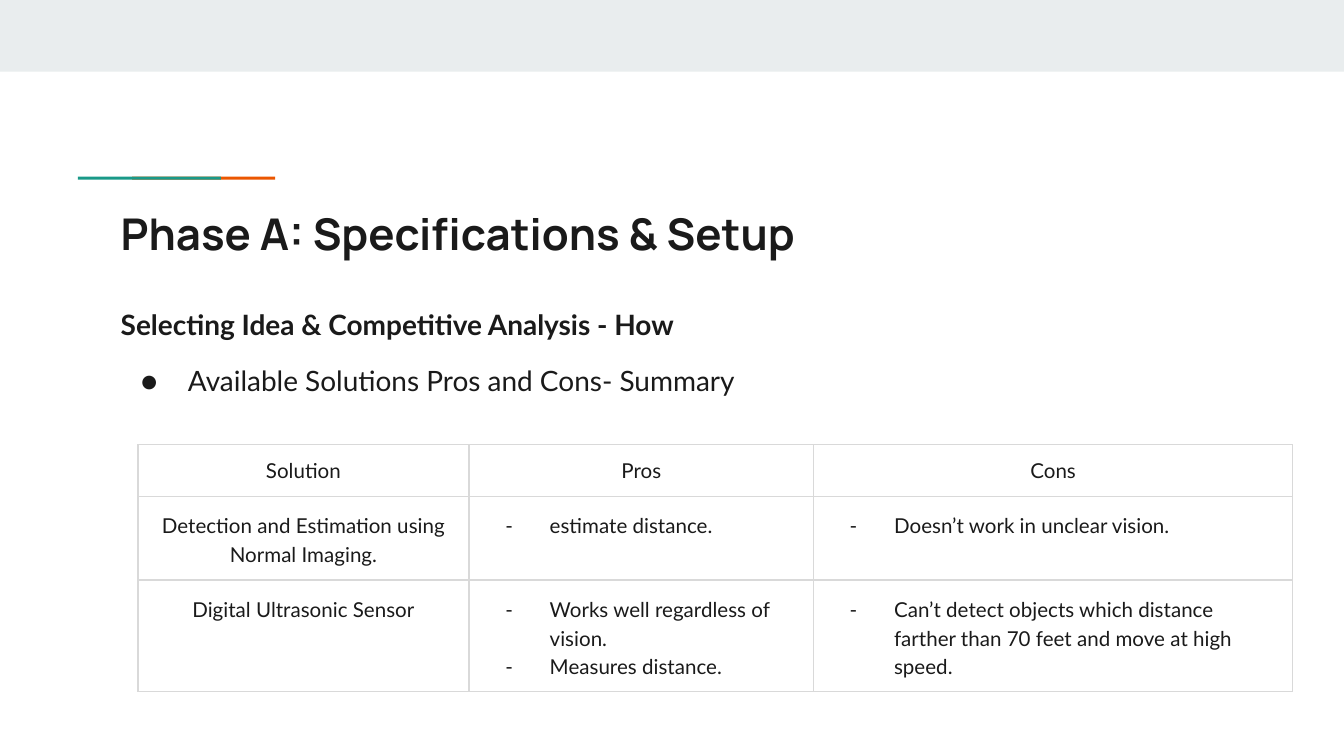
from dataclasses import dataclass
from typing import Any

from lxml import etree
from pptx import Presentation
from pptx import util as u
from pptx.dml.color import RGBColor
from pptx.enum import shapes, text
from pptx.oxml import ns

INK = RGBColor(0x1A, 0x1A, 0x1A)
BAND = RGBColor(0xE9, 0xED, 0xEE)
TEAL = RGBColor(0x1A, 0x99, 0x88)
ORANGE = RGBColor(0xEB, 0x56, 0x00)
BORDER = RGBColor(0xD9, 0xD9, 0xD9)
HEADING_FONT = "Manrope"
BODY_FONT = "Lato"


@dataclass(frozen=True)
class Box:
    left: float
    top: float
    width: float
    height: float

    def lengths(self) -> tuple[u.Length, ...]:
        return tuple(u.Pt(value) for value in (self.left, self.top, self.width, self.height))


@dataclass(frozen=True)
class Bar:
    box: Box
    color: RGBColor
    rotation: float = 0


@dataclass(frozen=True)
class Line:
    words: str
    size: float
    font: str = BODY_FONT
    bold: bool = False
    bullet: str = ""
    hanging: float = 0
    space_before: float = 0
    spacing: float = 1.0
    centered: bool = False


BARS = (
    Bar(Box(0, 0, 720, 38.5), BAND),
    Bar(Box(108.3, 57.1, 1.6, 76.6), ORANGE, 270),
    Bar(Box(79.3, 57.1, 1.6, 76.6), TEAL, 270),
)
TITLE_BOX = Box(57.6, 103.7, 605.5, 42.5)
BODY_BOX = Box(57.6, 157.7, 605.5, 236.9)
TITLE = (Line("Phase A: Specifications & Setup", 23.4, HEADING_FONT, bold=True),)
BODY = (
    Line("Selecting Idea & Competitive Analysis - How", 15, bold=True),
    Line("Available Solutions Pros and Cons- Summary", 15, bullet="●", hanging=25.2, space_before=12),
)
COLUMN_WIDTHS = (177.4, 184.5, 256.8)
ROW_HEIGHTS = (27.6, 43.2, 58.3)
HEADERS = ("Solution", "Pros", "Cons")
SOLUTIONS = (
    ("Detection and Estimation using Normal Imaging.",
     ("estimate distance.",),
     ("Doesn’t work in unclear vision.",)),
    ("Digital Ultrasonic Sensor",
     ("Works well regardless of vision.", "Measures distance."),
     ("Can’t detect objects which distance farther than 70 feet and move at high speed.",)),
)


def add_color(parent: Any, color: RGBColor) -> None:
    """Append an RGB colour element."""
    etree.SubElement(parent, ns.qn("a:srgbClr"), val=str(color))


def add_bullet(paragraph: Any, line: Line) -> None:
    """Give a paragraph a hanging bullet."""
    properties = paragraph._p.get_or_add_pPr()
    properties.set("marL", str(u.Pt(36)))
    properties.set("indent", str(-u.Pt(line.hanging)))
    add_color(etree.SubElement(properties, ns.qn("a:buClr")), INK)
    etree.SubElement(properties, ns.qn("a:buFont"), typeface=line.font)
    etree.SubElement(properties, ns.qn("a:buChar"), char=line.bullet)


def write_lines(frame: Any, lines: tuple[Line, ...]) -> None:
    """Fill a text frame with formatted paragraphs."""
    frame.text = "\n".join(line.words for line in lines)
    for paragraph, line in zip(frame.paragraphs, lines):
        if line.bullet:
            add_bullet(paragraph, line)
        paragraph.alignment = text.PP_ALIGN.CENTER if line.centered else text.PP_ALIGN.LEFT
        paragraph.line_spacing = line.spacing
        paragraph.space_before = u.Pt(line.space_before)
        for run in paragraph.runs:
            run.font.name = line.font
            run.font.size = u.Pt(line.size)
            run.font.bold = line.bold
            run.font.color.rgb = INK


def add_bar(slide: Any, bar: Bar) -> None:
    """Draw a plain filled rectangle."""
    shape = slide.shapes.add_shape(shapes.MSO_SHAPE.RECTANGLE, *bar.box.lengths())
    shape.rotation = bar.rotation
    shape.shadow.inherit = False
    shape.fill.solid()
    shape.fill.fore_color.rgb = bar.color
    shape.line.fill.background()


def set_margins(holder: Any) -> None:
    """Set equal inner margins on a cell or text frame."""
    for side in ("left", "top", "right", "bottom"):
        setattr(holder, f"margin_{side}", u.Pt(7.2))


def add_text(slide: Any, box: Box, lines: tuple[Line, ...]) -> None:
    """Draw a wrapping text box."""
    frame = slide.shapes.add_textbox(*box.lengths()).text_frame
    frame.word_wrap = True
    set_margins(frame)
    write_lines(frame, lines)


def format_cell(cell: Any, lines: tuple[Line, ...]) -> None:
    """Write a table cell with thin borders and no fill."""
    set_margins(cell)
    write_lines(cell.text_frame, lines)
    properties = cell._tc.get_or_add_tcPr()
    for side in ("L", "R", "T", "B"):
        border = etree.SubElement(properties, ns.qn(f"a:ln{side}"), w=str(u.Pt(0.75)))
        add_color(etree.SubElement(border, ns.qn("a:solidFill")), BORDER)
    cell.fill.background()


def table_rows() -> list[tuple[tuple[Line, ...], ...]]:
    """Return the header and solution rows as formatted lines."""
    rows = [tuple((Line(header, 11, centered=True),) for header in HEADERS)]
    for solution, *points in SOLUTIONS:
        name = (Line(solution, 11, spacing=1.15, centered=True),)
        lists = [tuple(Line(point, 11, bullet="-", hanging=23.8, spacing=1.15) for point in group)
                 for group in points]
        rows.append((name, *lists))
    return rows


def add_comparison(slide: Any) -> None:
    """Draw the table of solutions."""
    box = Box(73.9, 238.3, sum(COLUMN_WIDTHS), sum(ROW_HEIGHTS))
    table = slide.shapes.add_table(len(ROW_HEIGHTS), len(COLUMN_WIDTHS), *box.lengths()).table
    table.first_row = False
    table.horz_banding = False
    for column, width in zip(table.columns, COLUMN_WIDTHS):
        column.width = u.Pt(width)
    for row, height, contents in zip(table.rows, ROW_HEIGHTS, table_rows()):
        row.height = u.Pt(height)
        for cell, lines in zip(row.cells, contents):
            format_cell(cell, lines)


def main() -> None:
    """Build and save the slide."""
    presentation = Presentation()
    presentation.slide_width = u.Pt(720)
    presentation.slide_height = u.Pt(405)
    slide = presentation.slides.add_slide(presentation.slide_layouts[6])
    for bar in BARS:
        add_bar(slide, bar)
    add_text(slide, TITLE_BOX, TITLE)
    add_text(slide, BODY_BOX, BODY)
    add_comparison(slide)
    presentation.save("out.pptx")


if __name__ == "__main__":
    main()
